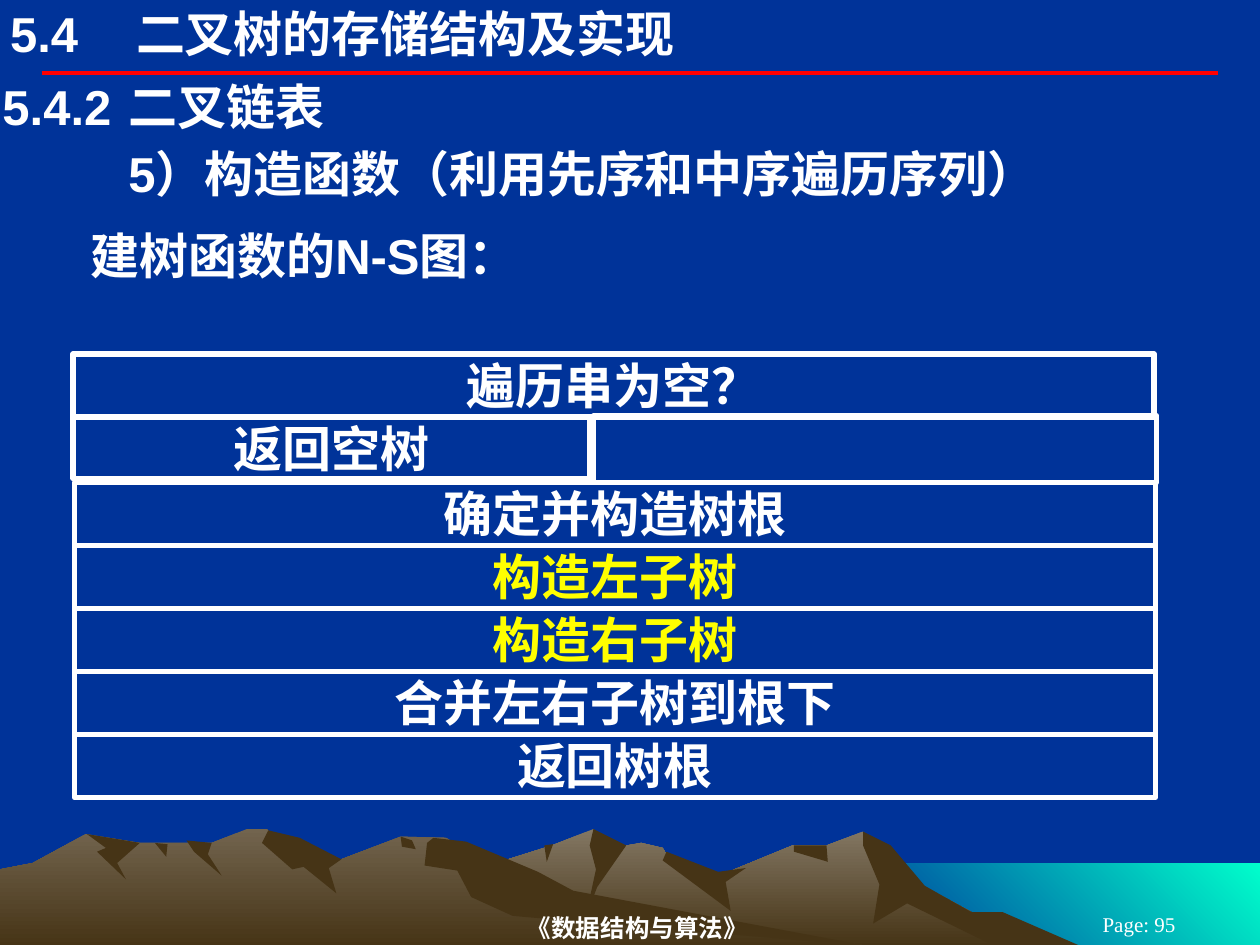
from dataclasses import dataclass

from lxml.etree import SubElement
from pptx import Presentation
from pptx.dml.color import RGBColor
from pptx.enum.shapes import MSO_CONNECTOR, MSO_SHAPE
from pptx.enum.text import MSO_ANCHOR, MSO_AUTO_SIZE, PP_ALIGN
from pptx.oxml.ns import qn
from pptx.util import Inches, Pt

COLORS = {
    "background": "003399", "text": "FFFFFF", "recursive": "FFFF00", "rule": "FF0000",
    "water": "00FFCC", "shade": "463416", "far_peak": "837763", "near_peak": "72644E",
}


@dataclass
class TextStyle:
    size: float = 28
    font: str = "Arial"
    bold: bool = True
    color: str = "text"
    align: PP_ALIGN = PP_ALIGN.LEFT
    anchor: MSO_ANCHOR = MSO_ANCHOR.TOP
    inset: float = 0.02
    indent: float = 0
    tab: float = 0


@dataclass
class Block:
    """A box of the N-S diagram, in inches."""
    left: float
    top: float
    width: float
    height: float
    text: str = ""
    color: str = "text"


@dataclass
class Outline:
    """A landscape polygon; its points are in hundredths of an inch."""
    points: list[tuple[int, int]]
    color: str = "shade"
    end_color: str = ""
    angle: float = 270


def rgb(name: str) -> RGBColor:
    return RGBColor.from_string(COLORS[name])


def write(shape, text: str, style: TextStyle) -> None:
    frame = shape.text_frame
    frame.word_wrap = True
    frame.auto_size = MSO_AUTO_SIZE.NONE
    frame.vertical_anchor = style.anchor
    frame.margin_left = frame.margin_right = Inches(style.inset)
    frame.margin_top = frame.margin_bottom = Inches(style.inset / 2)
    paragraph = frame.paragraphs[0]
    paragraph.alignment = style.align
    properties = paragraph._p.get_or_add_pPr()
    properties.set("marL", str(Inches(style.indent)))
    properties.set("indent", "0")
    if style.tab:
        tabs = SubElement(properties, qn("a:tabLst"))
        SubElement(tabs, qn("a:tab"), pos=str(Inches(style.tab)), algn="l")
    run = paragraph.add_run()
    run.text = text
    run.font.size = Pt(style.size)
    run.font.name = style.font
    run.font.bold = style.bold
    run.font.color.rgb = rgb(style.color)


def add_text(slide, left: float, top: float, width: float, height: float,
             text: str, style: TextStyle) -> None:
    box = slide.shapes.add_textbox(Inches(left), Inches(top), Inches(width), Inches(height))
    write(box, text, style)


def add_block(slide, block: Block) -> None:
    shape = slide.shapes.add_shape(
        MSO_SHAPE.RECTANGLE, Inches(block.left), Inches(block.top),
        Inches(block.width), Inches(block.height))
    shape.shadow.inherit = False
    shape.fill.background()
    shape.line.color.rgb = rgb("text")
    shape.line.width = Pt(3)
    if block.text:
        write(shape, block.text, TextStyle(color=block.color, align=PP_ALIGN.CENTER))


def add_outline(slide, outline: Outline) -> None:
    builder = slide.shapes.build_freeform(*outline.points[0], scale=Inches(0.01))
    builder.add_line_segments(outline.points[1:], close=True)
    shape = builder.convert_to_shape()
    shape.shadow.inherit = False
    shape.line.fill.background()
    if outline.end_color:
        shape.fill.gradient()
        shape.fill.gradient_angle = outline.angle
        for stop, name in zip(shape.fill.gradient_stops, (outline.color, outline.end_color)):
            stop.color.rgb = rgb(name)
    else:
        shape.fill.solid()
        shape.fill.fore_color.rgb = rgb(outline.color)


# Landscape along the bottom edge, from back to front
LANDSCAPE = [
    Outline([(1000, 752), (683, 752), (683, 685), (1000, 685)], "water", "background", 225),
    Outline([
        (821, 751), (723, 698), (685, 660), (656, 671), (629, 671), (566, 697), (536, 690),
        (526, 673), (509, 669), (486, 673), (471, 658), (438, 671), (394, 685), (258, 751)],
        "far_peak", "shade"),
    Outline([
        (685, 660), (707, 671), (734, 703), (771, 724), (796, 724), (858, 751), (792, 752),
        (720, 717), (693, 733), (698, 702), (685, 671)]),
    Outline([(471, 658), (497, 671), (474, 704), (465, 727), (473, 690), (468, 671)]),
    Outline([(529, 676), (570, 692), (592, 689), (576, 700), (580, 723), (526, 683)]),
    Outline([(630, 671), (656, 671), (657, 684), (630, 676)]),
    Outline([(432, 671), (439, 670), (434, 684)]),
    Outline([
        (690, 751), (432, 712), (354, 665), (318, 664), (271, 682), (236, 681), (212, 658),
        (196, 658), (168, 669), (111, 669), (68, 662), (26, 685), (0, 690), (0, 751)],
        "near_peak", "shade"),
    Outline([
        (213, 659), (238, 665), (271, 682), (261, 689), (267, 709), (241, 688), (232, 690),
        (208, 669)]),
    Outline([
        (339, 669), (344, 665), (370, 668), (427, 692), (455, 707), (690, 751), (407, 727),
        (374, 712), (363, 691), (337, 687)]),
    Outline([(318, 664), (327, 667), (330, 674), (319, 672)]),
    Outline([(148, 667), (168, 669), (165, 678), (176, 695), (154, 676)]),
    Outline([(123, 669), (133, 670), (132, 680)]),
    Outline([(69, 662), (111, 669), (93, 685), (100, 698), (77, 676), (84, 673)]),
]

# N-S diagram: a condition, its two branches, then equal steps
ROW_LEFT, ROW_WIDTH, ROW_HEIGHT, STEPS_TOP = 0.59, 8.58, 0.5, 3.83
STEPS = [
    ("确定并构造树根", "text"), ("构造左子树", "recursive"), ("构造右子树", "recursive"),
    ("合并左右子树到根下", "text"), ("返回树根", "text"),
]
BLOCKS = [
    Block(0.58, 2.81, ROW_WIDTH, ROW_HEIGHT, "遍历串为空？"),
    Block(0.58, 3.31, 4.1, 0.49, "返回空树"),
    *(Block(ROW_LEFT, STEPS_TOP + index * ROW_HEIGHT, ROW_WIDTH, ROW_HEIGHT, text, color)
      for index, (text, color) in enumerate(STEPS)),
    Block(4.71, 3.3, 4.47, 0.53),
]


def main() -> None:
    presentation = Presentation()
    presentation.slide_width, presentation.slide_height = Inches(10), Inches(7.5)
    slide = presentation.slides.add_slide(presentation.slide_layouts[5])
    slide.background.fill.solid()
    slide.background.fill.fore_color.rgb = rgb("background")

    for outline in LANDSCAPE:
        add_outline(slide, outline)

    # Title and the rule below it
    title = slide.shapes.title
    title.left, title.top = Inches(0.08), Inches(0.03)
    title.width, title.height = Inches(6.5), Inches(0.47)
    write(title, "5.4\t二叉树的存储结构及实现", TextStyle(inset=0, tab=0.85))
    rule = slide.shapes.add_connector(
        MSO_CONNECTOR.STRAIGHT, Inches(0.33), Inches(0.58), Inches(9.67), Inches(0.58))
    rule.line.color.rgb = rgb("rule")
    rule.line.width = Pt(2.25)
    SubElement(rule._element.spPr, qn("a:effectLst"))

    # Footer and page number
    footer = TextStyle(14, "Times New Roman", align=PP_ALIGN.CENTER,
                       anchor=MSO_ANCHOR.MIDDLE)
    add_text(slide, 2.03, 7.22, 6.06, 0.28, "《数据结构与算法》", footer)
    page = TextStyle(12, "Times New Roman", False, align=PP_ALIGN.CENTER,
                     anchor=MSO_ANCHOR.MIDDLE, inset=0.1)
    add_text(slide, 8.25, 7.25, 1.58, 0.17, "Page: 95", page)

    # Headings
    add_text(slide, 0, 0.6, 10, 0.49, "5.4.2\t二叉链表", TextStyle(tab=1.27))
    add_text(slide, 0.04, 1.13, 9.96, 0.49, "5）构造函数（利用先序和中序遍历序列）",
             TextStyle(indent=0.96))
    add_text(slide, 0, 1.78, 10, 0.49, "建树函数的N-S图：", TextStyle(indent=0.7))

    for block in BLOCKS:
        add_block(slide, block)

    presentation.save("out.pptx")


if __name__ == "__main__":
    main()
